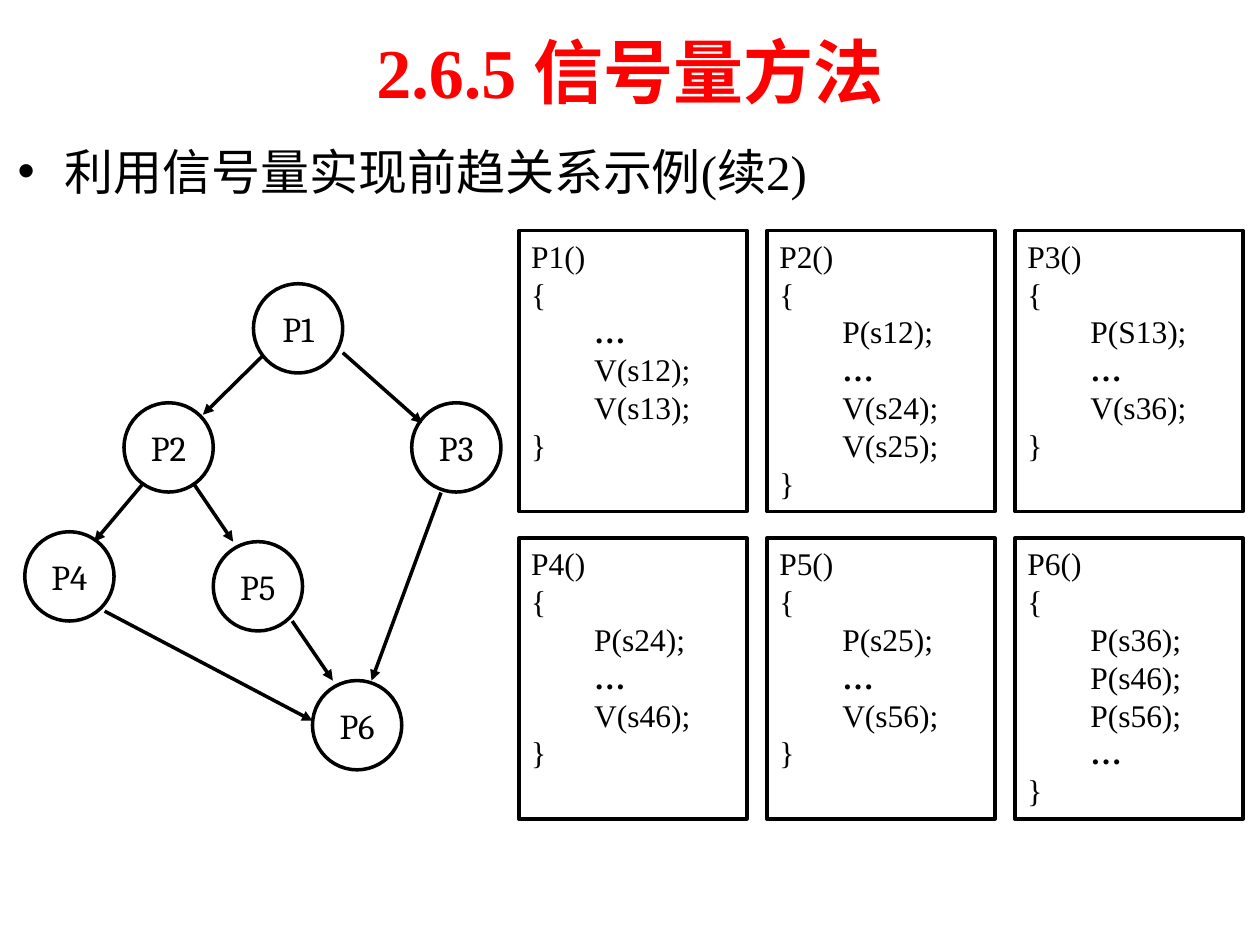
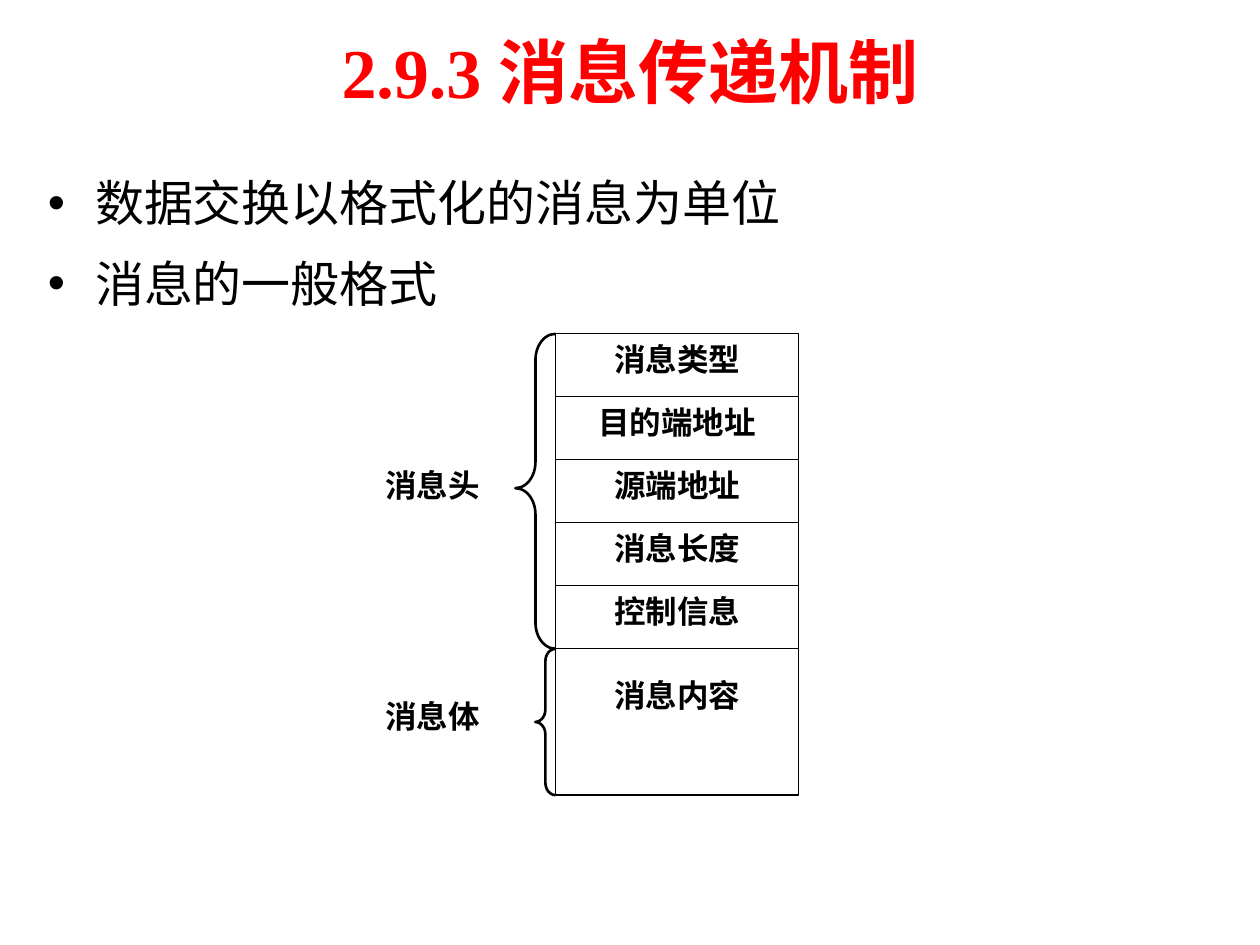
from dataclasses import dataclass

from pptx import Presentation
from pptx.dml.color import RGBColor
from pptx.enum.shapes import MSO_CONNECTOR, MSO_SHAPE
from pptx.enum.text import MSO_ANCHOR, MSO_AUTO_SIZE, PP_ALIGN
from pptx.oxml.xmlchemy import OxmlElement
from pptx.shapes.autoshape import Shape
from pptx.slide import Slide
from pptx.util import Cm, Pt

INK = "000000"
RED = "FF0000"
SERIF = "Times New Roman"
DOTS = "…"


@dataclass(frozen=True)
class Box:
    left: float
    top: float
    width: float
    height: float

    def place(self) -> tuple:
        return Cm(self.left), Cm(self.top), Cm(self.width), Cm(self.height)


@dataclass(frozen=True)
class Node:
    name: str
    left: float
    top: float


@dataclass(frozen=True)
class Arrow:
    x1: float
    y1: float
    x2: float
    y2: float


@dataclass(frozen=True)
class Brace:
    box: Box
    curve: float
    point: float


@dataclass(frozen=True)
class Label:
    text: str
    top: float


NODES = [
    Node("P1", 5.11, 5.72),
    Node("P2", 2.5, 8.12),
    Node("P3", 8.3, 8.12),
    Node("P4", 0.5, 10.72),
    Node("P5", 4.3, 10.92),
    Node("P6", 6.3, 13.72),
]
ARROWS = [
    Arrow(5.31, 7.16, 4.09, 8.36),
    Arrow(2.9, 9.73, 1.9, 10.92),
    Arrow(6.91, 7.11, 8.51, 8.53),
    Arrow(3.89, 9.73, 4.7, 10.92),
    Arrow(8.89, 9.93, 7.49, 13.72),
    Arrow(5.89, 12.52, 6.71, 13.72),
    Arrow(2.11, 12.32, 6.3, 14.53),
]
CODE = {
    "P1": [DOTS, "V(s12);", "V(s13);"],
    "P2": ["P(s12);", DOTS, "V(s24);", "V(s25);"],
    "P3": ["P(S13);", DOTS, "V(s36);"],
    "P4": ["P(s24);", DOTS, "V(s46);"],
    "P5": ["P(s25);", DOTS, "V(s56);"],
    "P6": ["P(s36);", "P(s46);", "P(s56);", DOTS],
}
FIELDS = ["消息类型", "目的端地址", "源端地址", "消息长度", "控制信息"]
FIELD = Box(11.2, 6.73, 4.9, 1.27)
HEAD = FIELD.height * len(FIELDS)
BODY = Box(FIELD.left, FIELD.top + HEAD, FIELD.width, 2.95)
BRACES = [
    Brace(Box(10.39, FIELD.top, 0.81, HEAD), 0.65, 0.49),
    Brace(Box(10.79, BODY.top, 0.41, BODY.height), 0.61, 0.5),
]
LABELS = [Label("消息头", 9.27), Label("消息体", 13.92)]


def paint(code: str) -> RGBColor:
    return RGBColor.from_string(code)


def write(shape: Shape, lines: list[str], *, size: float = 18, font: str = SERIF,
          color: str = INK, bold: bool = False, align: PP_ALIGN = PP_ALIGN.LEFT,
          anchor: MSO_ANCHOR = MSO_ANCHOR.TOP, space: float | None = None,
          inset: float | None = None) -> None:
    frame = shape.text_frame
    frame.word_wrap = True
    frame.auto_size = MSO_AUTO_SIZE.NONE
    frame.vertical_anchor = anchor
    if inset is not None:
        frame.margin_top = Cm(inset)
    for index, line in enumerate(lines):
        para = frame.add_paragraph() if index else frame.paragraphs[0]
        para.alignment = align
        para.line_spacing = space
        run = para.add_run()
        run.text = line
        run.font.name = font
        run.font.size = Pt(size)
        run.font.bold = bold or line == DOTS
        run.font.color.rgb = paint(color)


def draw(slide: Slide, kind: MSO_SHAPE, box: Box, width: float) -> Shape:
    shape = slide.shapes.add_shape(kind, *box.place())
    shape.shadow.inherit = False
    shape.fill.background()
    shape.line.color.rgb = paint(INK)
    shape.line.width = Pt(width)
    return shape


def link(slide: Slide, arrow: Arrow) -> None:
    line = slide.shapes.add_connector(
        MSO_CONNECTOR.STRAIGHT, Cm(arrow.x1), Cm(arrow.y1), Cm(arrow.x2), Cm(arrow.y2))
    line.line.color.rgb = paint(INK)
    line.line.width = Pt(2)
    tip = OxmlElement("a:tailEnd")
    tip.set("type", "triangle")
    line.line._get_or_add_ln().append(tip)
    line._element.spPr.append(OxmlElement("a:effectLst"))


def start(deck: Presentation, title: str, points: list[str], box: Box,
          space: float | None = None) -> Slide:
    slide = deck.slides.add_slide(deck.slide_layouts[1])
    head, body = slide.placeholders
    for shape, spot in ((head, Box(1.27, 0.13, 22.86, 2.59)), (body, box)):
        shape.left, shape.top, shape.width, shape.height = spot.place()
    write(head, [title], size=40, color=RED, bold=True,
          align=PP_ALIGN.CENTER, anchor=MSO_ANCHOR.MIDDLE)
    write(body, points, size=28, space=space)
    return slide


def disc(slide: Slide, node: Node) -> None:
    shape = draw(slide, MSO_SHAPE.OVAL, Box(node.left, node.top, 1.8, 1.8), 2)
    frame = shape.text_frame
    frame.margin_left = frame.margin_right = frame.margin_bottom = 0
    write(shape, [node.name], size=20, font="Cambria", align=PP_ALIGN.CENTER,
          anchor=MSO_ANCHOR.MIDDLE, inset=0)


def panel(slide: Slide, index: int, name: str, steps: list[str]) -> None:
    row, col = divmod(index, 3)
    box = Box(10.46 + 5 * col, 4.65 + 6.2 * row, 4.6, 5.66)
    shape = draw(slide, MSO_SHAPE.RECTANGLE, box, 2)
    write(shape, [f"{name}()", "{", *steps, "}"])
    for para in shape.text_frame.paragraphs[2:-1]:
        para._p.get_or_add_pPr().set("marL", str(Cm(1.27)))


def field(slide: Slide, text: str, box: Box, inset: float = 0.13) -> None:
    shape = draw(slide, MSO_SHAPE.RECTANGLE, box, 0.75)
    write(shape, [text], bold=True, align=PP_ALIGN.CENTER, inset=inset)


def graph(deck: Presentation) -> None:
    slide = start(deck, "2.6.5 信号量方法", ["利用信号量实现前趋关系示例(续2)"],
                  Box(0.1, 2.72, 22.86, 12.57))
    for node in NODES:
        disc(slide, node)
    for arrow in ARROWS:
        link(slide, arrow)
    for index, (name, steps) in enumerate(CODE.items()):
        panel(slide, index, name, steps)


def format_page(deck: Presentation) -> None:
    slide = start(deck, "2.9.3 消息传递机制",
                  ["数据交换以格式化的消息为单位", "消息的一般格式"],
                  Box(0.71, 3.12, 23.6, 13.41), space=1.2)
    for index, text in enumerate(FIELDS):
        top = FIELD.top + FIELD.height * index
        field(slide, text, Box(FIELD.left, top, FIELD.width, FIELD.height))
    field(slide, "消息内容", BODY, inset=0.55)
    for brace in BRACES:
        shape = draw(slide, MSO_SHAPE.LEFT_BRACE, brace.box, 1.5)
        shape.adjustments[0] = brace.curve
        shape.adjustments[1] = brace.point
    for label in LABELS:
        shape = slide.shapes.add_textbox(*Box(7.52, label.top, 2.44, 1.27).place())
        write(shape, [label.text], bold=True, align=PP_ALIGN.JUSTIFY)


def main() -> None:
    deck = Presentation()
    deck.slide_width, deck.slide_height = Cm(25.4), Cm(19.05)
    graph(deck)
    format_page(deck)
    deck.save("out.pptx")


if __name__ == "__main__":
    main()
